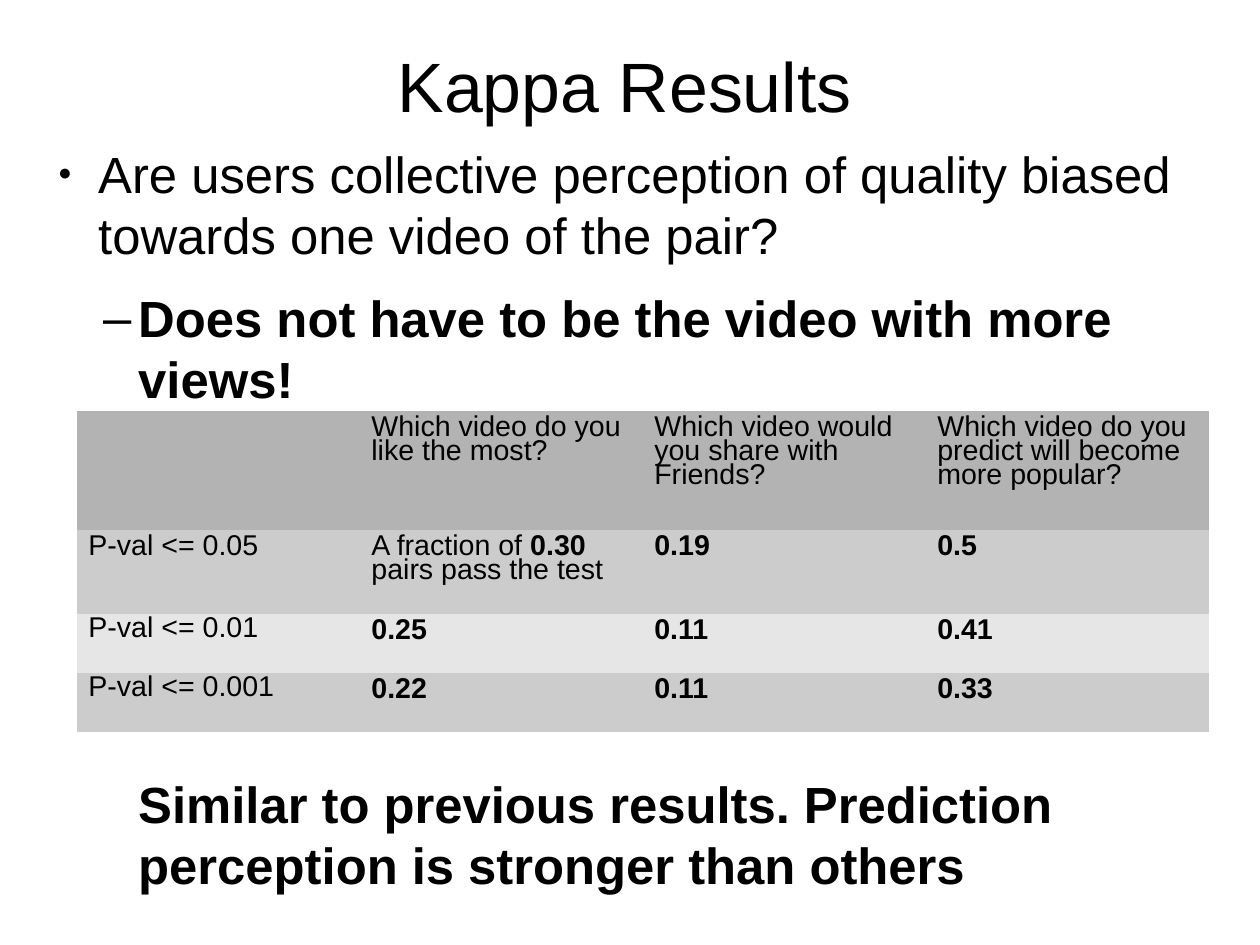
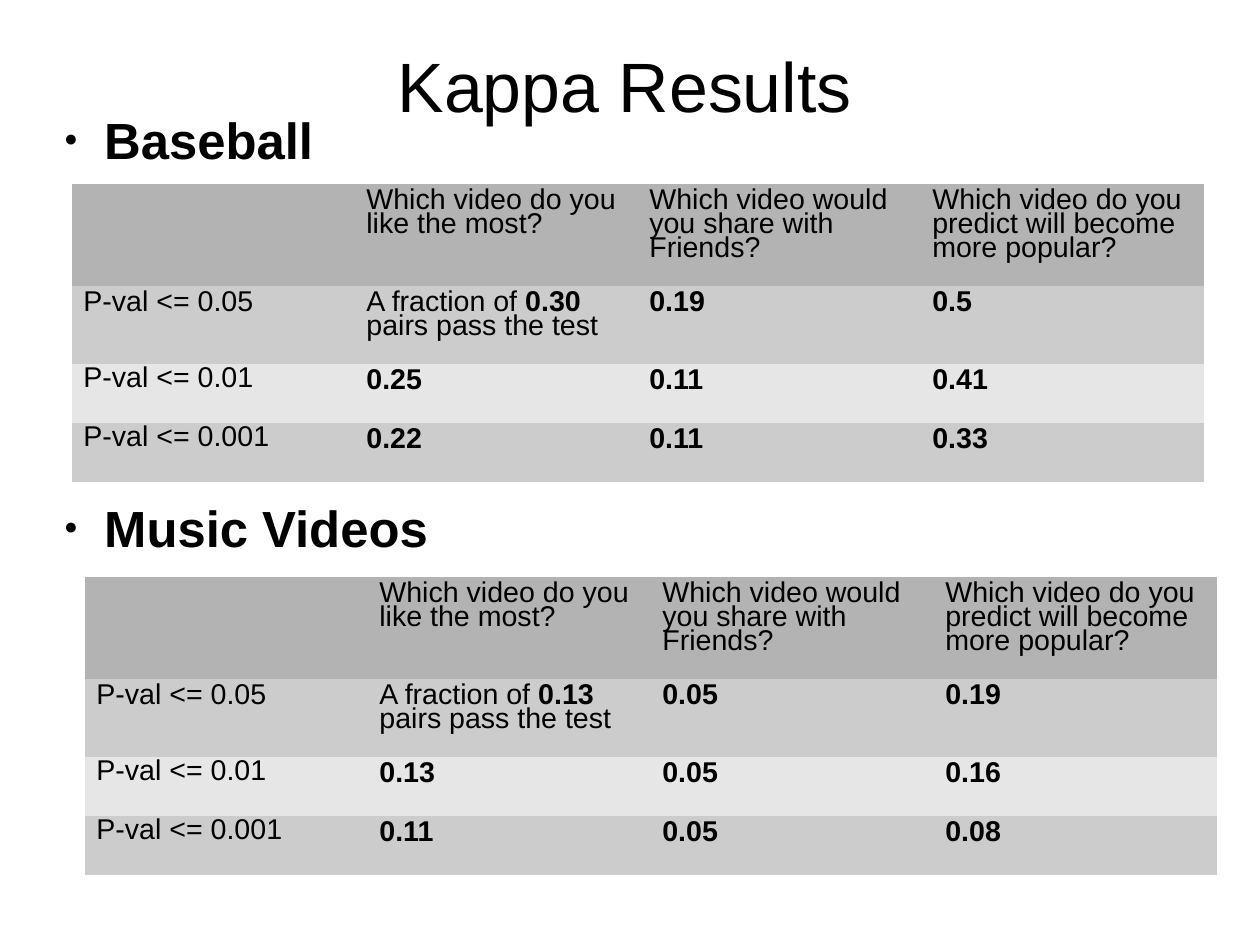
from dataclasses import dataclass

import lxml.etree
import pptx
import pptx.dml.color
import pptx.enum.text
import pptx.oxml.ns
import pptx.util

PX = 8000
NO_GRID_STYLE = "{2D5ABB26-0587-4C30-8999-92F81FD0307C}"


@dataclass(frozen=True)
class Theme:
    font: str = "Arial"
    ink: str = "000000"
    header: str = "B3B3B3"
    bands: tuple = ("CCCCCC", "E6E6E6")
    title_size: int = 44
    body_size: int = 32
    table_size: int = 18
    text_spacing: float = 1.0
    cell_spacing: float = 0.76
    label_spacing: float = 0.71
    space_after: float = 14.3


THEME = Theme()
TITLE_BOX = (58, 37, 1134, 158)
COLUMN_WIDTH = 283
QUESTIONS = (
    ["Which video do you like the most?"],
    ["Which video would you share with", "Friends?"],
    ["Which video do you predict will become more popular?"],
)
LEVELS = ("P-val <= 0.05", "P-val <= 0.01", "P-val <= 0.001")
BASEBALL = (("0.30", "0.19", "0.5"), ("0.25", "0.11", "0.41"), ("0.22", "0.11", "0.33"))
MUSIC = (("0.13", "0.05", "0.19"), ("0.13", "0.05", "0.16"), ("0.11", "0.05", "0.08"))


def px(length):
    return pptx.util.Emu(length * PX)


def color(value):
    return pptx.dml.color.RGBColor.from_string(value)


def add_run(paragraph, text, size, bold=False):
    run = paragraph.add_run()
    run.text = text
    run.font.name = THEME.font
    run.font.size = pptx.util.Pt(size)
    run.font.bold = bold
    run.font.color.rgb = color(THEME.ink)


def next_paragraph(frame, index):
    return frame.add_paragraph() if index else frame.paragraphs[0]


def add_text_frame(slide, box):
    frame = slide.shapes.add_textbox(*map(px, box)).text_frame
    frame.word_wrap = True
    return frame


def add_title(slide, box, text):
    paragraph = add_text_frame(slide, box).paragraphs[0]
    paragraph.alignment = pptx.enum.text.PP_ALIGN.CENTER
    paragraph.line_spacing = THEME.text_spacing
    add_run(paragraph, text, THEME.title_size)


def set_bullet(paragraph, indent, hanging, character, percent):
    properties = paragraph._p.get_or_add_pPr()
    properties.set("marL", str(px(indent)))
    properties.set("indent", str(px(-hanging)))

    def add(tag, parent=properties, **attributes):
        return lxml.etree.SubElement(parent, pptx.oxml.ns.qn(tag), **attributes)

    if not character:
        add("a:buNone")
        return
    add("a:srgbClr", add("a:buClr"), val=THEME.ink)
    add("a:buSzPct", val=str(percent * 1000))
    add("a:buFont", typeface=THEME.font)
    add("a:buChar", char=character)


def add_body(slide, box, items):
    styles = {
        "point": (53, 40, "●", 45),
        "dash": (93, 35, "–", 100),
        "plain": (93, 0, None, 100),
    }
    frame = add_text_frame(slide, box)
    for index, (style, text, bold, gap) in enumerate(items):
        paragraph = next_paragraph(frame, index)
        paragraph.line_spacing = THEME.text_spacing
        paragraph.space_before = px(gap)
        paragraph.space_after = pptx.util.Pt(THEME.space_after)
        set_bullet(paragraph, *styles[style])
        add_run(paragraph, text, THEME.body_size, bold)


def fill_cell(cell, fill, paragraphs, spacing):
    cell.fill.solid()
    cell.fill.fore_color.rgb = color(fill)
    for index, runs in enumerate(paragraphs):
        paragraph = next_paragraph(cell.text_frame, index)
        paragraph.line_spacing = spacing
        for text, bold in runs:
            add_run(paragraph, text, THEME.table_size, bold)


def add_results_table(slide, left, top, heights, results):
    column_count = len(QUESTIONS) + 1
    box = (left, top, column_count * COLUMN_WIDTH, sum(heights))
    table = slide.shapes.add_table(len(heights), column_count, *map(px, box)).table
    table._tbl.tblPr.find(pptx.oxml.ns.qn("a:tableStyleId")).text = NO_GRID_STYLE
    for row, height in zip(table.rows, heights):
        row.height = px(height)

    fill_cell(table.cell(0, 0), THEME.header, [], THEME.cell_spacing)
    for column, lines in enumerate(QUESTIONS, 1):
        paragraphs = [[(line, False)] for line in lines]
        fill_cell(table.cell(0, column), THEME.header, paragraphs, THEME.cell_spacing)

    for row, (level, values) in enumerate(zip(LEVELS, results), 1):
        fill = THEME.bands[(row - 1) % 2]
        spacing = THEME.cell_spacing if row == 1 else THEME.label_spacing
        fill_cell(table.cell(row, 0), fill, [[(level, False)]], spacing)
        for column, value in enumerate(values, 1):
            runs = [(value, True)]
            if row == column == 1:
                runs = [("A fraction of ", False), (value + " ", True), ("pairs pass the test", False)]
            fill_cell(table.cell(row, column), fill, [runs], THEME.cell_spacing)


def add_slide(presentation):
    slide = presentation.slides.add_slide(presentation.slide_layouts[6])
    add_title(slide, TITLE_BOX, "Kappa Results")
    return slide


def build_overall_slide(presentation):
    slide = add_slide(presentation)
    add_body(slide, (34, 137, 1177, 549), [
        ("point", "Are users collective perception of quality biased towards one video of the pair?", False, 0),
        ("dash", "Does not have to be the video with more views!", True, 0),
        ("plain", "Similar to previous results. Prediction perception is stronger than others", True, 341),
    ])
    add_results_table(slide, 77, 411, (119, 84, 59, 59), BASEBALL)


def build_category_slide(presentation):
    slide = add_slide(presentation)
    heights = (102, 78, 59, 59)
    add_results_table(slide, 72, 184, heights, BASEBALL)
    add_results_table(slide, 85, 577, heights, MUSIC)
    add_body(slide, (40, 103, 1177, 549), [
        ("point", "Baseball", True, 0),
        ("point", "Music Videos", True, 304),
    ])


def main():
    presentation = pptx.Presentation()
    presentation.slide_width = px(1260)
    presentation.slide_height = px(945)
    build_overall_slide(presentation)
    build_category_slide(presentation)
    presentation.save("out.pptx")


if __name__ == "__main__":
    main()
